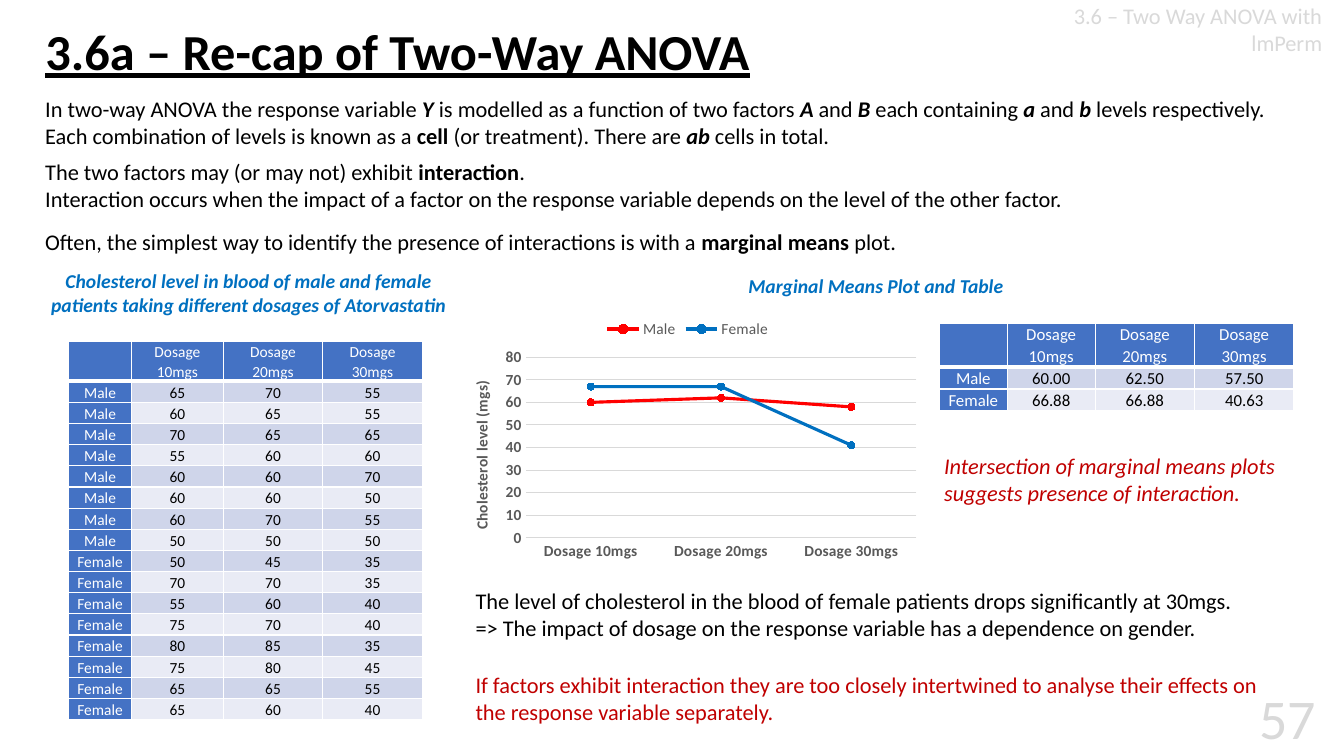
from lxml.etree import SubElement
from pptx import Presentation
from pptx.chart.data import CategoryChartData
from pptx.dml.color import RGBColor
from pptx.enum.chart import XL_CHART_TYPE, XL_LEGEND_POSITION, XL_MARKER_STYLE, XL_TICK_MARK
from pptx.enum.text import MSO_ANCHOR, MSO_AUTO_SIZE, PP_ALIGN
from pptx.oxml.ns import qn
from pptx.util import Pt

FONT = "Calibri"
BLACK, WHITE, GREY, PALE = "000000", "FFFFFF", "595959", "D9D9D9"
BLUE, RED, CRIMSON = "0070C0", "FF0000", "C00000"
HEADER_FILL, BAND_FILLS = "4472C4", ("CFD5EA", "E9EBF5")

DOSAGES = ["Dosage 10mgs", "Dosage 20mgs", "Dosage 30mgs"]
MALE_LEVELS = [(65, 70, 55), (60, 65, 55), (70, 65, 65), (55, 60, 60),
               (60, 60, 70), (60, 60, 50), (60, 70, 55), (50, 50, 50)]
FEMALE_LEVELS = [(50, 45, 35), (70, 70, 35), (55, 60, 40), (75, 70, 40),
                 (80, 85, 35), (75, 80, 45), (65, 65, 55), (65, 60, 40)]
MEANS = {"Male": (60, 62.5, 57.5), "Female": (66.88, 66.88, 40.63)}


def rgb(colour):
    return RGBColor.from_string(colour)


def style_font(font, size, colour, style=""):
    """Apply the style letters b (bold), i (italic) and u (underline)."""
    font.name, font.size = FONT, Pt(size)
    font.bold, font.italic, font.underline = (letter in style for letter in "biu")
    font.color.rgb = rgb(colour)


def add_run(paragraph, text, size, colour, style=""):
    run = paragraph.add_run()
    run.text = text
    style_font(run.font, size, colour, style)


def add_text(slide, box, paragraphs, size=16, colour=BLACK, align=PP_ALIGN.LEFT):
    """Add a text box; each paragraph lists (text, style letters), "\n" being a line break."""
    frame = slide.shapes.add_textbox(*map(Pt, box)).text_frame
    frame.word_wrap = True
    for number, runs in enumerate(paragraphs):
        paragraph = frame.add_paragraph() if number else frame.paragraphs[0]
        paragraph.alignment = align
        for text, style in runs:
            if text == "\n":
                paragraph.add_line_break()
            else:
                add_run(paragraph, text, size, colour, style)


def add_heading(slide, left, top, width):
    title = slide.shapes.title
    title.left, title.top, title.width, title.height = map(Pt, (left, top, 681, 47.5))
    frame = title.text_frame
    frame.auto_size = MSO_AUTO_SIZE.NONE
    frame.vertical_anchor = MSO_ANCHOR.MIDDLE
    paragraph = frame.paragraphs[0]
    paragraph.alignment, paragraph.line_spacing = PP_ALIGN.LEFT, 0.9
    add_run(paragraph, "3.6a – Re-cap of Two-Way ANOVA", 36, BLACK, "bu")
    add_text(slide, (left + width - 220, top - 17, 220, 46),
             [[("3.6 – Two Way ANOVA with lmPerm", "")]], colour=PALE, align=PP_ALIGN.RIGHT)


def add_introduction(slide, left, top, width):
    cells = [
        [("In two-way ANOVA the response variable ", ""), ("Y", "bi"),
         (" is modelled as a function of two factors ", ""), ("A", "bi"), (" and ", ""),
         ("B", "bi"), (" each containing ", ""), ("a", "bi"), (" and ", ""), ("b", "bi"),
         (" levels respectively.", "")],
        [("Each combination of levels is known as a ", ""), ("cell ", "b"),
         ("(or treatment). There are ", ""), ("ab", "bi"), (" cells in total.", "")]]
    interaction = [
        [("The two factors may (or may not) exhibit ", ""), ("interaction", "b"), (".", "")],
        [("Interaction occurs when the impact of a factor on the response variable "
          "depends on the level of the other factor.", "")]]
    plot_advice = [
        [("Often, the simplest way to identify the presence of interactions is with a ", ""),
         ("marginal means", "b"), (" plot.", "")]]
    for offset, height, paragraphs in ((0, 53, cells), (44.9, 53, interaction),
                                       (94.8, 29, plot_advice)):
        add_text(slide, (left, top + offset, width, height), paragraphs,
                 align=PP_ALIGN.JUSTIFY)


def add_bottom_border(cell, width):
    line = SubElement(cell._tc.get_or_add_tcPr(), qn("a:lnB"), w=str(Pt(width)))
    cell._tc.tcPr.insert(0, line)
    SubElement(SubElement(line, qn("a:solidFill")), qn("a:srgbClr"), val=WHITE)


def add_level_table(slide, left, top, widths, heights, size, body):
    """Add a dosage table; heights are those of the header and of a body row."""
    rows = [["", *DOSAGES], *body]
    row_heights = [heights[0]] + [heights[1]] * len(body)
    table = slide.shapes.add_table(len(rows), len(widths), Pt(left), Pt(top),
                                   Pt(sum(widths)), Pt(sum(row_heights))).table
    for column, width in zip(table.columns, widths):
        column.width = Pt(width)
    for r, (row, height) in enumerate(zip(rows, row_heights)):
        table.rows[r].height = Pt(height)
        for c, text in enumerate(row):
            is_label = r == 0 or c == 0
            cell = table.cell(r, c)
            cell.fill.solid()
            cell.fill.fore_color.rgb = rgb(HEADER_FILL if is_label else BAND_FILLS[(r - 1) % 2])
            cell.margin_left = cell.margin_right = Pt(5.4)
            cell.margin_top = cell.margin_bottom = 0
            cell.vertical_anchor = MSO_ANCHOR.BOTTOM
            if r == 0:
                add_bottom_border(cell, 3)
            if text:
                paragraph = cell.text_frame.paragraphs[0]
                paragraph.alignment = PP_ALIGN.CENTER
                paragraph.line_spacing, paragraph.space_after = 1.07, Pt(8)
                add_run(paragraph, text, size, WHITE if is_label else BLACK)


def add_patient_data(slide, left, top):
    add_text(slide, (left, top, 305, 48),
             [[("Cholesterol level in blood of male and female patients taking "
                "different dosages of Atorvastatin", "bi")]], 14, BLUE, PP_ALIGN.CENTER)
    body = [[sex, *map(str, levels)]
            for sex, group in (("Male", MALE_LEVELS), ("Female", FEMALE_LEVELS))
            for levels in group]
    add_level_table(slide, left + 23.8, top + 55, (45, 65.5, 71.1, 71.1),
                    (28.7, 15.13), 11, body)


def set_layout(parent, **fractions):
    """Fix the place of a chart part as fractions of the chart."""
    for old in parent.findall(qn("c:layout")):
        parent.remove(old)
    layout = SubElement(parent, qn("c:layout"))
    text = parent.find(qn("c:tx"))
    parent.insert(0 if text is None else parent.index(text) + 1, layout)
    manual = SubElement(layout, qn("c:manualLayout"))
    if "w" in fractions:
        SubElement(manual, qn("c:layoutTarget")).set("val", "inner")
    for side in "xy":
        SubElement(manual, qn(f"c:{side}Mode")).set("val", "edge")
    for side, value in fractions.items():
        SubElement(manual, qn(f"c:{side}")).set("val", str(value))


def add_means_chart(slide, box):
    data = CategoryChartData(number_format="0")
    data.categories = DOSAGES
    for sex, means in MEANS.items():
        data.add_series(sex, map(round, means))
    chart = slide.shapes.add_chart(XL_CHART_TYPE.LINE_MARKERS, *map(Pt, box), data).chart
    style_font(chart.font, 10, BLACK)
    chart.has_title = False
    chart.has_legend = True
    chart.legend.position = XL_LEGEND_POSITION.TOP
    chart.legend.include_in_layout = False
    style_font(chart.legend.font, 11, GREY)
    for series, colour in zip(chart.plots[0].series, (RED, BLUE)):
        series.smooth = False
        series.format.line.width = Pt(2.25)
        series.format.line.color.rgb = rgb(colour)
        series.marker.style, series.marker.size = XL_MARKER_STYLE.CIRCLE, 5
        series.marker.format.fill.solid()
        series.marker.format.fill.fore_color.rgb = rgb(colour)
        series.marker.format.line.color.rgb = rgb(colour)

    dosage_axis, level_axis = chart.category_axis, chart.value_axis
    for axis in (dosage_axis, level_axis):
        axis.major_tick_mark = axis.minor_tick_mark = XL_TICK_MARK.NONE
        style_font(axis.tick_labels.font, 11, GREY, "b")
    level_axis.minimum_scale, level_axis.maximum_scale, level_axis.major_unit = 0, 80, 10
    level_axis.tick_labels.number_format = "0"
    level_axis.tick_labels.number_format_is_linked = False
    level_axis.format.line.fill.background()
    for line in (dosage_axis.format.line, level_axis.major_gridlines.format.line):
        line.width = Pt(0.75)
        line.color.rgb = rgb(PALE)
    title = level_axis.axis_title
    add_run(title.text_frame.paragraphs[0], "Cholesterol level (mgs)", 11, GREY, "b")
    set_layout(title._element, x=0.04, y=0.27)
    set_layout(chart._chartSpace.chart.plotArea, x=0.16, y=0.19, w=0.82, h=0.7)


def add_marginal_means(slide, left, top):
    add_text(slide, (left + 36.7, top, 536, 29),
             [[("Marginal Means Plot and Table", "bi")]], 14, BLUE, PP_ALIGN.CENTER)
    add_means_chart(slide, (left, top + 28, 340.5, 184.3))
    body = [[sex, *(f"{mean:.2f}" for mean in means)] for sex, means in MEANS.items()]
    add_level_table(slide, left + 350, top + 38.8, (48.5, 62.8, 71, 71), (31.4, 15.5), 12, body)
    add_text(slide, (left + 346.3, top + 127.5, 262, 76),
             [[("Intersection of marginal means plots suggests presence of interaction.", "i")]],
             colour=CRIMSON)


def add_conclusions(slide, left, top, width):
    add_text(slide, (left, top, width, 53),
             [[("The level of cholesterol in the blood of female patients drops "
                "significantly at 30mgs. ", ""), ("\n", ""),
               ("=> The impact of dosage on the response variable has a dependence "
                "on gender.", "")]])
    add_text(slide, (left, top + 60, width, 58),
             [[("If factors exhibit interaction they are too closely intertwined to analyse "
                "their effects on the response variable separately.", "")]], colour=CRIMSON)


def main():
    presentation = Presentation()
    presentation.slide_width, presentation.slide_height = Pt(960), Pt(540)
    slide = presentation.slides.add_slide(presentation.slide_layouts[5])
    add_heading(slide, 25.2, 15.2, 926.3)
    add_introduction(slide, 25.2, 64.5, 899)
    add_patient_data(slide, 25.2, 188.6)
    add_marginal_means(slide, 321, 192.2)
    add_conclusions(slide, 332.6, 416, 577)
    add_text(slide, (877, 485, 70, 53), [[("57", "")]], 40, PALE, PP_ALIGN.RIGHT)
    presentation.save("out.pptx")


if __name__ == "__main__":
    main()
